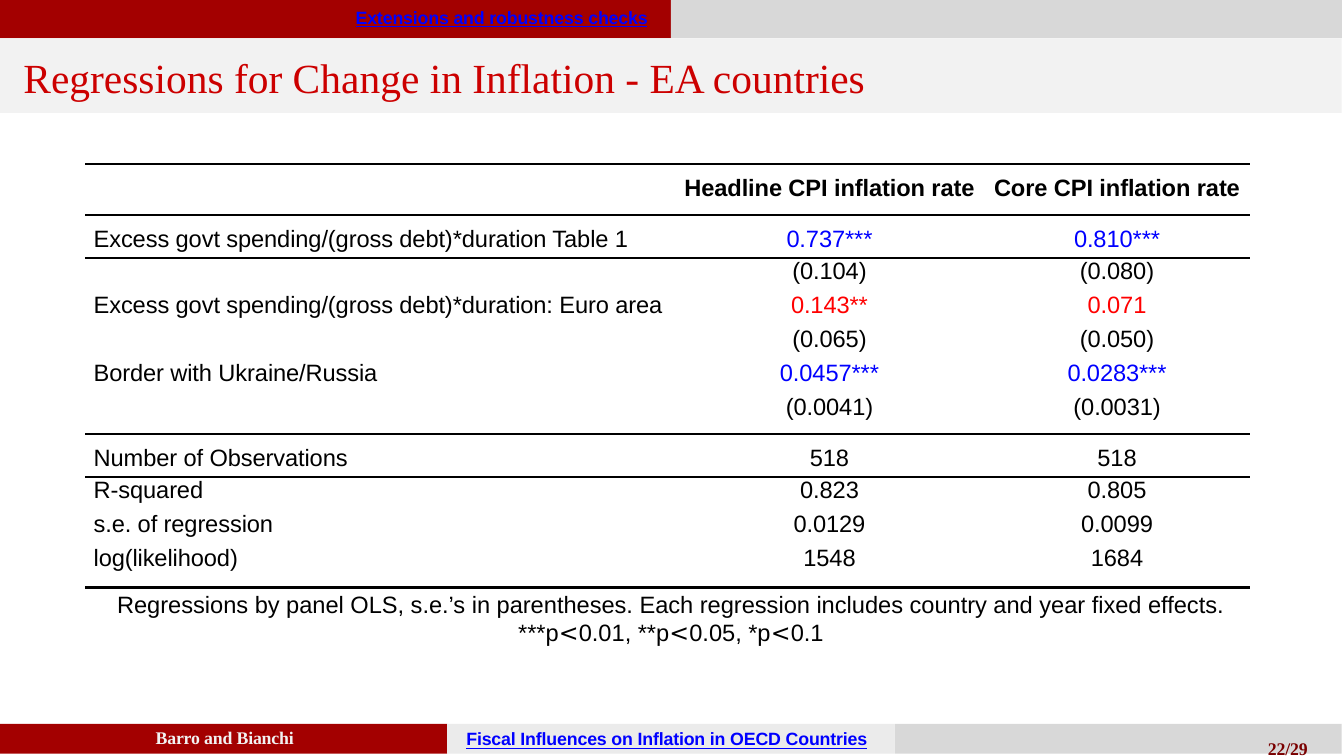
from pptx import Presentation
from pptx.dml.color import RGBColor
from pptx.enum.shapes import MSO_SHAPE
from pptx.enum.text import MSO_ANCHOR, MSO_AUTO_SIZE, PP_ALIGN
from pptx.oxml import parse_xml
from pptx.oxml.ns import nsdecls
from pptx.util import Inches, Pt

RECT = MSO_SHAPE.RECTANGLE
TOP, MID = MSO_ANCHOR.TOP, MSO_ANCHOR.MIDDLE
LEFT, CENTER, RIGHT = PP_ALIGN.LEFT, PP_ALIGN.CENTER, PP_ALIGN.RIGHT
FIXED = MSO_AUTO_SIZE.NONE
SANS, SERIF, MATH = "Arial", "Times New Roman", "DejaVu Sans"
HEX = {
    "dark": "A30000", "gray": "D8D8D8", "pale": "F2F2F2", "light": "EBEBEB",
    "title": "CC0000", "page": "7A0000", "blue": "0000FF", "red": "FF0000",
    "black": "000000",
}


def write(para, text, color, align=LEFT, before=0, spc=-5, **font):
    """Fill one paragraph; each "<" is set in the math font."""
    para.alignment = align
    para.space_before = Pt(before)
    bits = text.replace("<", "|<|").split("|")
    for bit in bits:
        run = para.add_run()
        run.text = bit
        look = {"name": SANS, "size": Pt(8), "bold": False} | font
        if bit == "<":
            look |= {"name": MATH, "italic": True}
        for key, val in look.items():
            setattr(run.font, key, val)
        run.font.color.rgb = RGBColor.from_string(HEX[color])
        run._r.get_or_add_rPr().set("spc", str(spc))


def setup(frame, top, left=0.01, anchor=TOP):
    """Set the insets and anchor of a text frame."""
    form = {
        "margin_left": Inches(left), "margin_top": Inches(top),
        "margin_right": 0, "margin_bottom": 0,
        "word_wrap": True, "auto_size": FIXED, "vertical_anchor": anchor,
    }
    for key, val in form.items():
        setattr(frame, key, val)


prs = Presentation()
prs.slide_width, prs.slide_height = Inches(6.31), Inches(3.55)
slide = prs.slides.add_slide(prs.slide_layouts[5])
shapes = slide.shapes

# Header and footer bands
bands = [
    (0, 0, 3.15, 0.18, "dark"), (3.15, 0, 3.15, 0.18, "gray"),
    (0, 0.18, 6.3, 0.35, "pale"),
]
for i, color in enumerate(["dark", "light", "gray"]):
    bands.append((i * 2.1, 3.4, 2.1, 0.14, color))
for *box, color in bands:
    band = shapes.add_shape(RECT, *map(Inches, box))
    band.shadow.inherit = False
    band.fill.solid()
    band.fill.fore_color.rgb = RGBColor.from_string(HEX[color])
    band.line.fill.background()

# Title, in front of its band
title = shapes.title
shapes._spTree.append(title._element)
title.left, title.top = Inches(0.1), Inches(0.23)
title.width, title.height = Inches(5.87), Inches(0.24)
setup(title.text_frame, 0.02, anchor=MID)
write(title.text_frame.paragraphs[0],
      "Regressions for Change in Inflation - EA countries",
      "title", before=1.4, spc=0, name=SERIF, size=Pt(14))

# Header and footer text
LINK = {"bold": True, "underline": True}
MARK = {"bold": True, "name": SERIF}
labels = [
    ((1.66, 0.02, 1.41, 0.13), "Extensions and robustness checks",
     "blue", LEFT, TOP, LINK),
    ((0.68, 3.41, 0.74, 0.1), "Barro and Bianchi", "pale", CENTER, MID, MARK),
    ((2.18, 3.41, 1.94, 0.13), "Fiscal Influences on Inflation in OECD Countries",
     "blue", LEFT, TOP, LINK),
    ((5.88, 3.41, 0.26, 0.2), "22/29", "page", RIGHT, MID, MARK),
]
for box, text, color, align, anchor, font in labels:
    frame = shapes.add_textbox(*map(Inches, box)).text_frame
    setup(frame, 0.01, anchor=anchor)
    write(frame.paragraphs[0], text, color, align, 0.7, size=Pt(6), **font)

# Regression table: row height, colour of values, cells
rows = [
    (0.24, "black", "", "Headline CPI inflation rate", "Core CPI inflation rate"),
    (0.2, "blue", "Excess govt spending/(gross debt)*duration Table 1",
     "0.737***", "0.810***"),
    (0.16, "black", "", "(0.104)", "(0.080)"),
    (0.16, "red", "Excess govt spending/(gross debt)*duration: Euro area",
     "0.143**", "0.071"),
    (0.16, "black", "", "(0.065)", "(0.050)"),
    (0.16, "blue", "Border with Ukraine/Russia", "0.0457***", "0.0283***"),
    (0.19, "black", "", "(0.0041)", "(0.0031)"),
    (0.2, "black", "Number of Observations", "518", "518"),
    (0.16, "black", "R-squared", "0.823", "0.805"),
    (0.16, "black", "s.e. of regression", "0.0129", "0.0099"),
    (0.2, "black", "log(likelihood)", "1548", "1684"),
]
widths = [2.77, 1.45, 1.25]
SPACED = {0, 1, 7}
# Rule widths in points, keyed by the row below the rule
rules = {0: 1, 1: 0.75, 2: 0.75, 7: 0.75, 8: 0.75, 11: 1}

grid = shapes.add_table(len(rows), len(widths), Inches(0.4), Inches(0.77),
                        Inches(sum(widths)), Inches(1.97)).table
grid.first_row = grid.horz_banding = False
for col, width in zip(grid.columns, widths):
    col.width = Inches(width)
for r, (height, color, *texts) in enumerate(rows):
    grid.rows[r].height = Inches(height)
    for c, text in enumerate(texts):
        cell = grid.cell(r, c)
        cell.margin_left = Inches(0 if c else 0.04)
        cell.margin_top = Inches(0.05 if r in SPACED else 0)
        cell.margin_right = cell.margin_bottom = 0
        para = cell.text_frame.paragraphs[0]
        para.font.size = Pt(8)
        if text:
            write(para, text, color if c else "black", CENTER if c else LEFT,
                  3.4 if r in SPACED else 0.3, bold=r == 0)
        # Borders come before the fill in the cell properties
        props = cell._tc.get_or_add_tcPr()
        for side, key in (("L", None), ("R", None), ("T", r), ("B", r + 1)):
            size = rules.get(key, 0)
            paint = (f'<a:solidFill><a:srgbClr val="{HEX["black"]}"/></a:solidFill>'
                     if size else "<a:noFill/>")
            props.append(parse_xml(
                f'<a:ln{side} {nsdecls("a")} w="{Pt(size)}">{paint}</a:ln{side}>'))
        cell.fill.background()

# Note under the table
frame = shapes.add_textbox(*map(Inches, (0.55, 2.76, 5.2, 0.29))).text_frame
setup(frame, 0.01, left=0)
notes = [
    "Regressions by panel OLS, s.e.’s in parentheses. "
    "Each regression includes country and year fixed effects.",
    "***p<0.01, **p<0.05, *p<0.1",
]
for i, note in enumerate(notes):
    para = frame.add_paragraph() if i else frame.paragraphs[0]
    para.line_spacing = Pt(9.6)
    write(para, note, "black", CENTER, 0 if i else 0.9, spc=-3)

prs.save("out.pptx")
